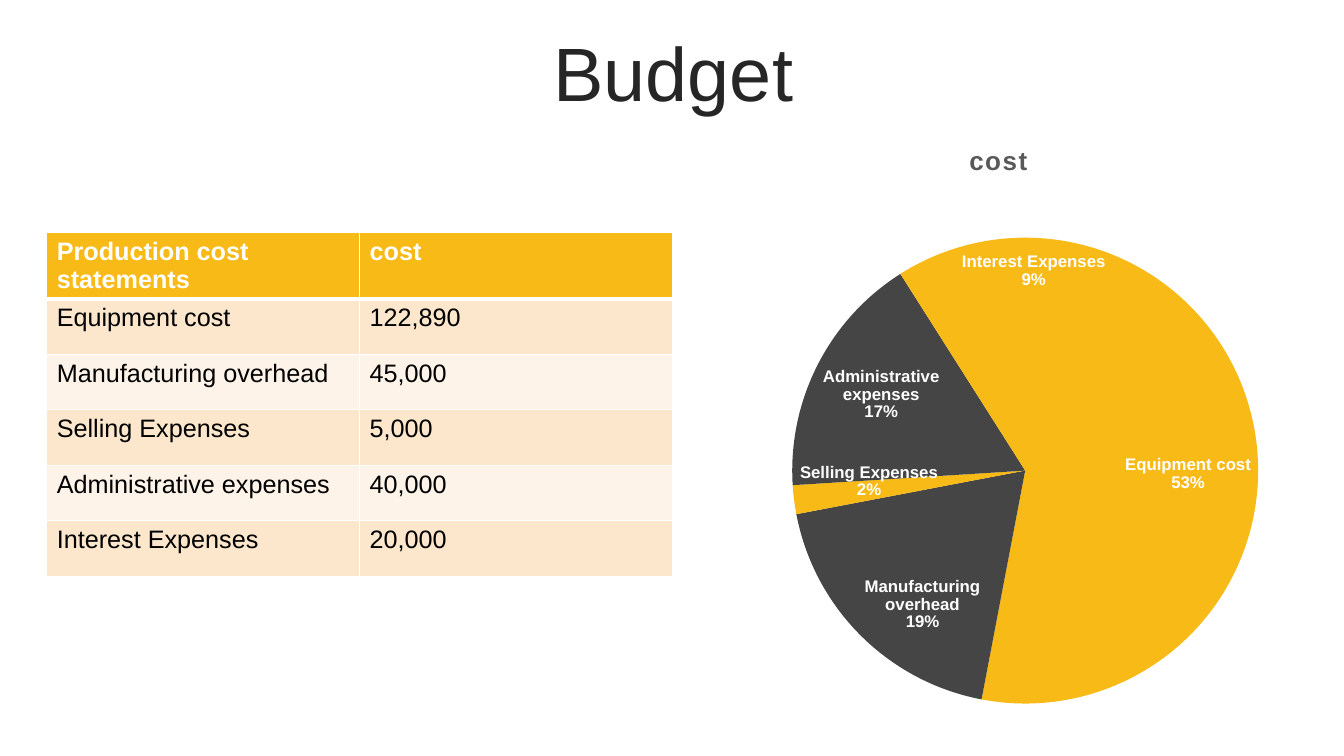
import pptx
import pptx.util
import pptx.chart.data
import pptx.dml.color
import pptx.enum.chart
import pptx.enum.text
import pptx.oxml

Pt = pptx.util.Pt
FONT = "Arial"
COLORS = {
    "white": "FFFFFF", "black": "000000", "title": "262626", "chart_title": "595959",
    "gold": "F8BA16", "charcoal": "454545", "band_dark": "FCE7CC", "band_light": "FEF3E8",
}
COSTS = [
    # item, cost, share in percent
    ("Equipment cost", "122,890", 53),
    ("Manufacturing overhead", "45,000", 19),
    ("Selling Expenses", "5,000", 2),
    ("Administrative expenses", "40,000", 17),
    ("Interest Expenses", "20,000", 9),
]


def rgb(name):
    return pptx.dml.color.RGBColor.from_string(COLORS[name])


def style_font(font, size, color, bold=False):
    font.name, font.size, font.bold = FONT, Pt(size), bold
    font.color.rgb = rgb(color)


def write_text(frame, text, size=18, color="black", bold=False, align=None, line_spacing=None):
    para = frame.paragraphs[0]
    para.alignment = align
    para.line_spacing = line_spacing
    span = para.add_run()
    span.text = text
    style_font(span.font, size, color, bold)
    return span


def chart_xml(text):
    namespace = "http://schemas.openxmlformats.org/drawingml/2006/chart"
    return pptx.oxml.parse_xml(text.replace(">", f' xmlns:c="{namespace}">', 1))


class SlideBuilder:
    def __init__(self, deck):
        self.page = deck.slides.add_slide(deck.slide_layouts[5])

    def title(self, text, left, top, width, height):
        box = self.page.shapes.title
        box.left, box.top, box.width, box.height = map(Pt, (left, top, width, height))
        box.text_frame.vertical_anchor = pptx.enum.text.MSO_ANCHOR.MIDDLE
        write_text(box.text_frame, text, size=54, color="title",
                   align=pptx.enum.text.PP_ALIGN.CENTER, line_spacing=0.9)

    def cell(self, cell, text, fill, borders, **text_format):
        # Borders come before the fill in the cell properties
        properties = cell._tc.get_or_add_tcPr()
        for side, width in zip("LRTB", borders):
            properties.append(pptx.oxml.parse_xml(
                f'<a:ln{side} xmlns:a="http://schemas.openxmlformats.org/drawingml/2006/main" '
                f'w="{Pt(width)}"><a:solidFill><a:srgbClr val="{COLORS["white"]}"/>'
                f'</a:solidFill></a:ln{side}>'))
        cell.fill.solid()
        cell.fill.fore_color.rgb = rgb(fill)
        write_text(cell.text_frame, text, **text_format)

    def table(self, rows, left, top, column_width, row_height):
        columns = len(rows[0])
        table = self.page.shapes.add_table(
            len(rows), columns, Pt(left), Pt(top),
            Pt(column_width * columns), Pt(row_height * len(rows))).table
        for column in table.columns:
            column.width = Pt(column_width)
        for i, row in enumerate(rows):
            table.rows[i].height = Pt(row_height)
            header = i == 0
            fill = "gold" if header else ("band_light", "band_dark")[i % 2]
            borders = (1, 1, 3 if i == 1 else 1, 3 if header else 1)
            for j, text in enumerate(row):
                self.cell(table.cell(i, j), text, fill, borders,
                          color="white" if header else "black", bold=header)

    def pie(self, name, shares, left, top, width, height, plot):
        data = pptx.chart.data.CategoryChartData(number_format="0")
        data.categories = [item for item, share in shares]
        data.add_series(name, [share for item, share in shares])
        chart = self.page.shapes.add_chart(
            pptx.enum.chart.XL_CHART_TYPE.PIE,
            Pt(left), Pt(top), Pt(width), Pt(height), data).chart
        style_font(chart.font, 10, "black")
        chart.has_legend = False
        chart.has_title = True
        heading = write_text(chart.chart_title.text_frame, name, size=18.6,
                             color="chart_title", bold=True)
        heading.font._element.set("spc", "100")

        # Place the pie within the chart frame
        area = chart._chartSpace.chart.plotArea
        for layout in area.findall("{*}layout"):
            area.remove(layout)
        places = "".join(f'<c:{key} val="{value}"/>' for key, value in zip("xywh", plot))
        area.insert(0, chart_xml(
            '<c:layout><c:manualLayout><c:layoutTarget val="inner"/><c:xMode val="edge"/>'
            f'<c:yMode val="edge"/>{places}</c:manualLayout></c:layout>'))

        # Alternate the slice colours
        pie = chart.plots[0]
        pie.vary_by_categories = True
        for i in range(len(shares)):
            look = pie.series[0].points[i].format
            look.fill.solid()
            look.fill.fore_color.rgb = rgb(("gold", "charcoal")[i % 2])
            look.line.fill.background()

        # Category and percentage on each slice
        labels = pie.series[0].data_labels
        style_font(labels.font, 12, "white", bold=True)
        labels.number_format, labels.number_format_is_linked = "0%", False
        labels.position = pptx.enum.chart.XL_LABEL_POSITION.INSIDE_END
        labels.show_value = False
        labels.show_category_name = labels.show_percentage = True
        labels._element.find("{*}showBubbleSize").addnext(
            chart_xml("<c:separator>\n</c:separator>"))


def main():
    deck = pptx.Presentation()
    deck.slide_width, deck.slide_height = Pt(960), Pt(540)
    builder = SlideBuilder(deck)
    builder.title("Budget", 25.2, 26.6, 911.5, 56.9)
    rows = [("Production cost statements", "cost")]
    rows += [(item, cost) for item, cost, share in COSTS]
    builder.table(rows, left=33.4, top=166, column_width=223.5, row_height=39.6)
    builder.pie("cost", [(item, share) for item, cost, share in COSTS],
                393.1, 86.4, 640, 427, plot=(0.27, 0.19, 0.52, 0.79))
    deck.save("out.pptx")


if __name__ == "__main__":
    main()
